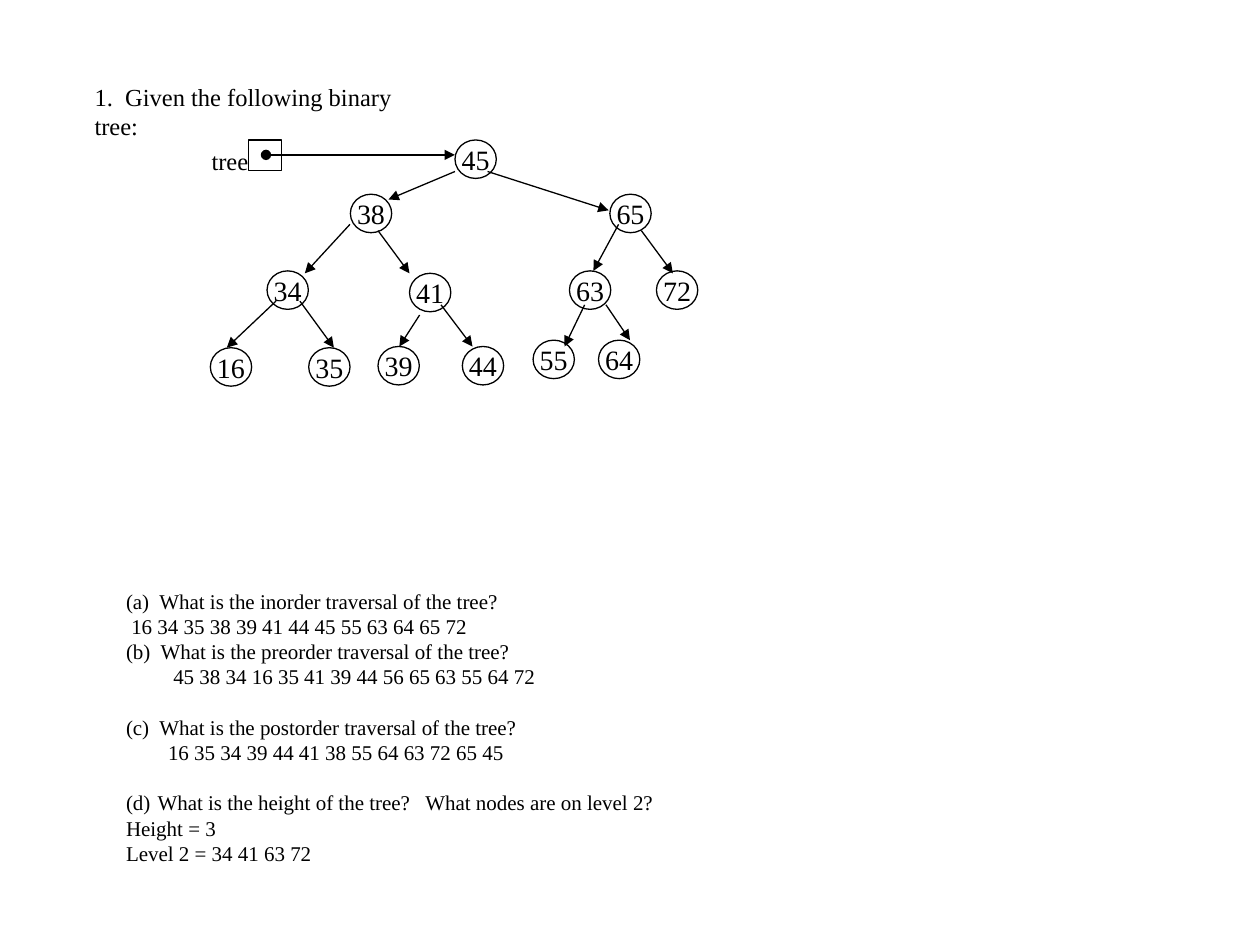
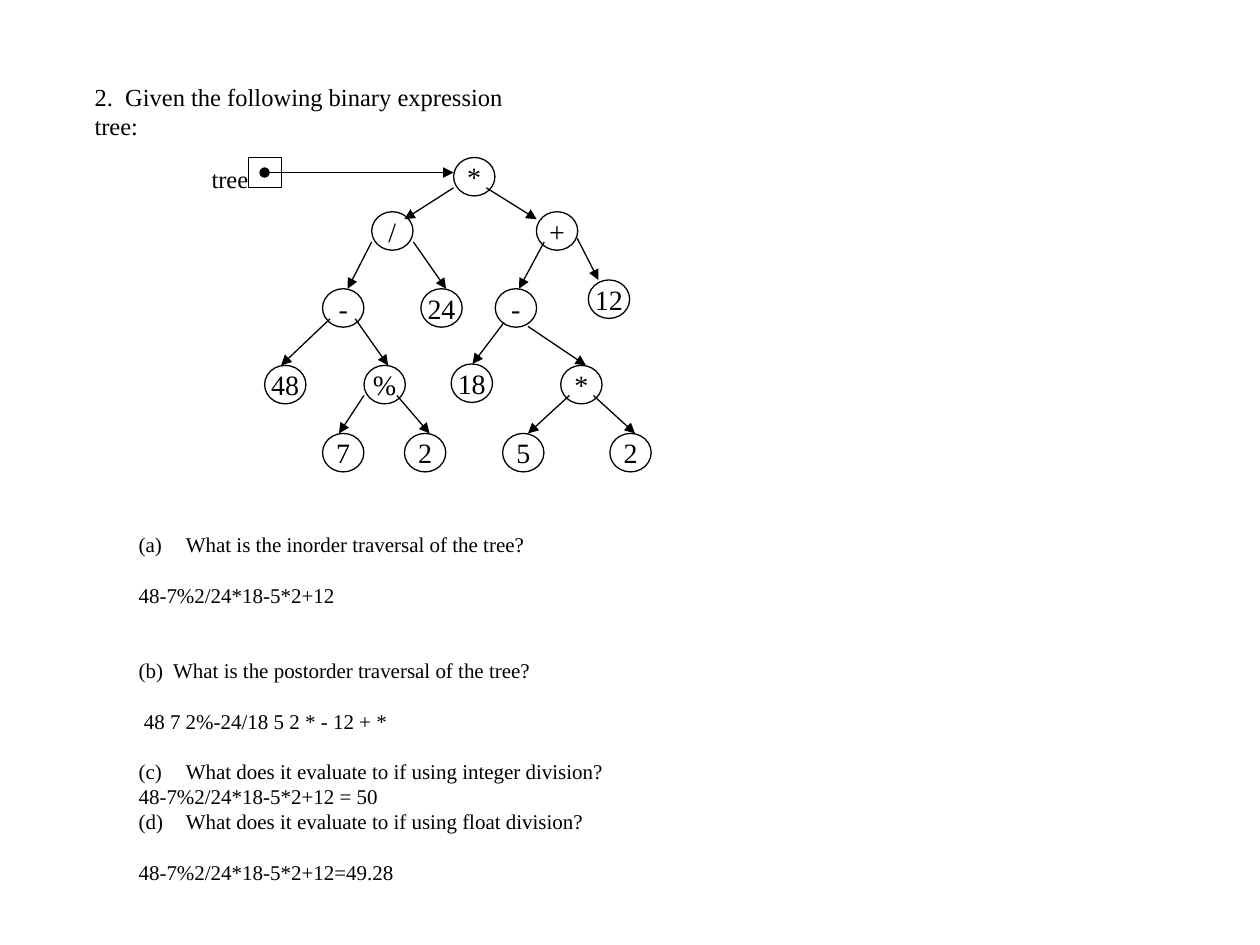
"""Builds two slides of binary tree exercises with their traversal answers."""
from typing import NamedTuple

from lxml.etree import SubElement
from pptx import Presentation
from pptx.dml.color import RGBColor
from pptx.enum.shapes import MSO_CONNECTOR as CONNECTOR, MSO_SHAPE as SHAPE
from pptx.enum.text import MSO_ANCHOR as ANCHOR, MSO_AUTO_SIZE as AUTO_SIZE, PP_ALIGN as ALIGN
from pptx.oxml.ns import qn
from pptx.util import Pt

COLORS = {"ink": "000000"}
FONT = "Times New Roman"
INK = RGBColor.from_string(COLORS["ink"])
NODE_W, NODE_H = 23.6, 22
POINTER_W, POINTER_H = 18.7, 17.3
POINTER_LEFT, LABEL_LEFT = 142.2, 113.8
LINE_GAP = 14.4


class Arrow(NamedTuple):
    x1: float
    y1: float
    x2: float
    y2: float


class Node(NamedTuple):
    label: str
    left: float
    top: float
    incoming: Arrow


class Line(NamedTuple):
    text: str
    gaps: int = 0
    indent: float = 0
    number: int = 0


class Box(NamedTuple):
    left: float
    top: float
    width: float
    height: float


class Exercise(NamedTuple):
    heading: str
    heading_box: Box
    nodes: list[Node]
    lines: list[Line]
    lines_box: Box


SEARCH_TREE = [
    Node("45", 260, 80, Arrow(152, 88.5, 260, 88.5)),
    Node("38", 200.2, 111, Arrow(260, 98, 222, 114)),
    Node("65", 348.5, 111, Arrow(278.6, 98, 347.8, 120.2)),
    Node("34", 152.6, 154.8, Arrow(200, 128.2, 174.2, 156.2)),
    Node("41", 234, 156.2, Arrow(216, 131.8, 234, 156.2)),
    Node("63", 325.4, 154.8, Arrow(353.5, 128.2, 339.1, 154.8)),
    Node("72", 375.1, 154.8, Arrow(366.5, 131.8, 384.5, 156.2)),
    Node("16", 120.2, 198.7, Arrow(157.7, 172.1, 129.6, 198.7)),
    Node("35", 176.4, 198.7, Arrow(171.4, 172.1, 190.8, 198.7)),
    Node("39", 216, 198, Arrow(239.8, 180, 228.2, 198)),
    Node("44", 264.2, 198, Arrow(252, 174.2, 270, 198)),
    Node("55", 304.6, 194.4, Arrow(334.1, 174.2, 322.6, 198)),
    Node("64", 342, 194.4, Arrow(346.3, 174.2, 360, 194.4)),
]

EXPRESSION_TREE = [
    Node("*", 259.2, 90, Arrow(151.2, 98.6, 259.2, 98.6)),
    Node("/", 212.4, 121, Arrow(259.2, 107.3, 231.1, 125.3)),
    Node("+", 306.5, 121, Arrow(277.9, 107.3, 306.7, 125.3)),
    Node("-", 184.3, 165, Arrow(212.4, 138.2, 198.7, 165)),
    Node("24", 240.5, 165, Arrow(236.2, 138.2, 254.9, 165)),
    Node("-", 283, 165, Arrow(311, 138.2, 296.6, 165)),
    Node("12", 336.2, 160, Arrow(329.8, 136.1, 342, 160)),
    Node("48", 151.2, 208.8, Arrow(188.6, 182.2, 160.6, 208.8)),
    Node("%", 208, 208.8, Arrow(203, 182.2, 221.8, 208.8)),
    Node("18", 257.8, 208, Arrow(288, 184.3, 270, 208)),
    Node("*", 320.4, 208.8, Arrow(301.7, 186.5, 334.8, 208.8)),
    Node("7", 184.3, 247.7, Arrow(208, 226, 193.7, 247.7)),
    Node("2", 231.1, 247.7, Arrow(226.8, 226, 245.5, 247.7)),
    Node("5", 287.2, 247.7, Arrow(325.4, 226, 301.7, 247.7)),
    Node("2", 348.5, 247.7, Arrow(339.1, 226, 362.9, 247.7)),
]

EXERCISES = [
    Exercise(
        "1.  Given the following binary tree:",
        Box(46.8, 43.2, 206, 42),
        SEARCH_TREE,
        [
            Line("(a)  What is the inorder traversal of the tree?"),
            Line("16 34 35 38 39 41 44 45 55 63 64 65 72", indent=3),
            Line("(b)  What is the preorder traversal of the tree?"),
            Line("45 38 34 16 35 41 39 44 56 65 63 55 64 72", indent=27),
            Line("(c)  What is the postorder traversal of the tree?", gaps=1),
            Line("16 35 34 39 44 41 38 55 64 63 72 65 45", indent=24),
            Line("What is the height of the tree?   What nodes are on level 2?",
                 gaps=1, indent=18, number=4),
            Line("Height = 3"),
            Line("Level 2 = 34 41 63 72"),
        ],
        Box(64.8, 332.6, 330, 167),
    ),
    Exercise(
        "2.  Given the following binary expression tree:",
        Box(46.8, 43.2, 266, 42),
        EXPRESSION_TREE,
        [
            Line("What is the inorder traversal of the tree?", indent=27, number=1),
            Line("48-7%2/24*18-5*2+12", gaps=1),
            Line("(b)  What is the postorder traversal of the tree?", gaps=2),
            Line("48 7 2%-24/18 5 2 * - 12 + *", gaps=1, indent=3),
            Line("What does it evaluate to if using integer division?",
                 gaps=1, indent=27, number=3),
            Line("48-7%2/24*18-5*2+12 = 50"),
            Line("What does it evaluate to if using float division?", indent=27, number=4),
            Line("48-7%2/24*18-5*2+12=49.28", gaps=1),
        ],
        Box(72, 300.2, 300, 225),
    ),
]


def style_text(paragraph, size: float, align=ALIGN.LEFT) -> None:
    paragraph.alignment = align
    paragraph.font.name = FONT
    paragraph.font.size = Pt(size)
    paragraph.font.color.rgb = INK


def place_placeholder(placeholder, box: Box):
    placeholder.left, placeholder.top, placeholder.width, placeholder.height = map(Pt, box)
    frame = placeholder.text_frame
    frame.word_wrap = True
    frame.auto_size = AUTO_SIZE.NONE
    frame.vertical_anchor = ANCHOR.TOP
    return frame


def add_outline(slide, preset, box: Box):
    shape = slide.shapes.add_shape(preset, *map(Pt, box))
    shape.shadow.inherit = False
    shape.fill.background()
    shape.line.color.rgb = INK
    shape.line.width = Pt(0.75)
    return shape


def draw_arrow(slide, arrow: Arrow, from_dot: bool) -> None:
    link = slide.shapes.add_connector(CONNECTOR.STRAIGHT, *map(Pt, arrow))
    link.line.color.rgb = INK
    link.line.width = Pt(0.75)
    properties = link.line._get_or_add_ln()
    if from_dot:
        SubElement(properties, qn("a:headEnd"), type="oval")
    SubElement(properties, qn("a:tailEnd"), type="triangle")
    SubElement(link._element.spPr, qn("a:effectLst"))


def draw_node(slide, node: Node) -> None:
    circle = add_outline(slide, SHAPE.OVAL, Box(node.left, node.top, NODE_W, NODE_H))
    frame = circle.text_frame
    frame.word_wrap = False
    frame.vertical_anchor = ANCHOR.MIDDLE
    frame.text = node.label
    style_text(frame.paragraphs[0], 16, ALIGN.CENTER)


def draw_tree(slide, nodes: list[Node]) -> None:
    root = nodes[0]
    add_outline(slide, SHAPE.RECTANGLE, Box(POINTER_LEFT, root.top, POINTER_W, POINTER_H))
    label = slide.shapes.add_textbox(Pt(LABEL_LEFT), Pt(root.top), Pt(36), Pt(24)).text_frame
    label.word_wrap = False
    label.text = "tree"
    style_text(label.paragraphs[0], 14)
    for node in nodes:
        draw_node(slide, node)
    for node in nodes:
        draw_arrow(slide, node.incoming, from_dot=node is root)


def write_line(paragraph, line: Line) -> None:
    paragraph.text = line.text
    paragraph.space_before = Pt(line.gaps * LINE_GAP)
    paragraph.space_after = Pt(0)
    properties = paragraph._p.get_or_add_pPr()
    properties.set("marL", str(Pt(line.indent)))
    properties.set("indent", str(-Pt(line.indent) if line.number else 0))
    if line.number:
        SubElement(properties, qn("a:buFont"), typeface=FONT)
        SubElement(properties, qn("a:buAutoNum"), type="alphaLcParenBoth",
                   startAt=str(line.number))
    else:
        SubElement(properties, qn("a:buNone"))
    style_text(paragraph, 12)


def build_slide(deck, exercise: Exercise) -> None:
    slide = deck.slides.add_slide(deck.slide_layouts[1])
    heading = place_placeholder(slide.shapes.title, exercise.heading_box)
    heading.text = exercise.heading
    style_text(heading.paragraphs[0], 14)
    questions = place_placeholder(slide.placeholders[1], exercise.lines_box)
    for index, line in enumerate(exercise.lines):
        write_line(questions.add_paragraph() if index else questions.paragraphs[0], line)
    draw_tree(slide, exercise.nodes)


def main() -> None:
    deck = Presentation()
    deck.slide_width, deck.slide_height = Pt(720), Pt(540)
    for exercise in EXERCISES:
        build_slide(deck, exercise)
    deck.save("out.pptx")


if __name__ == "__main__":
    main()
